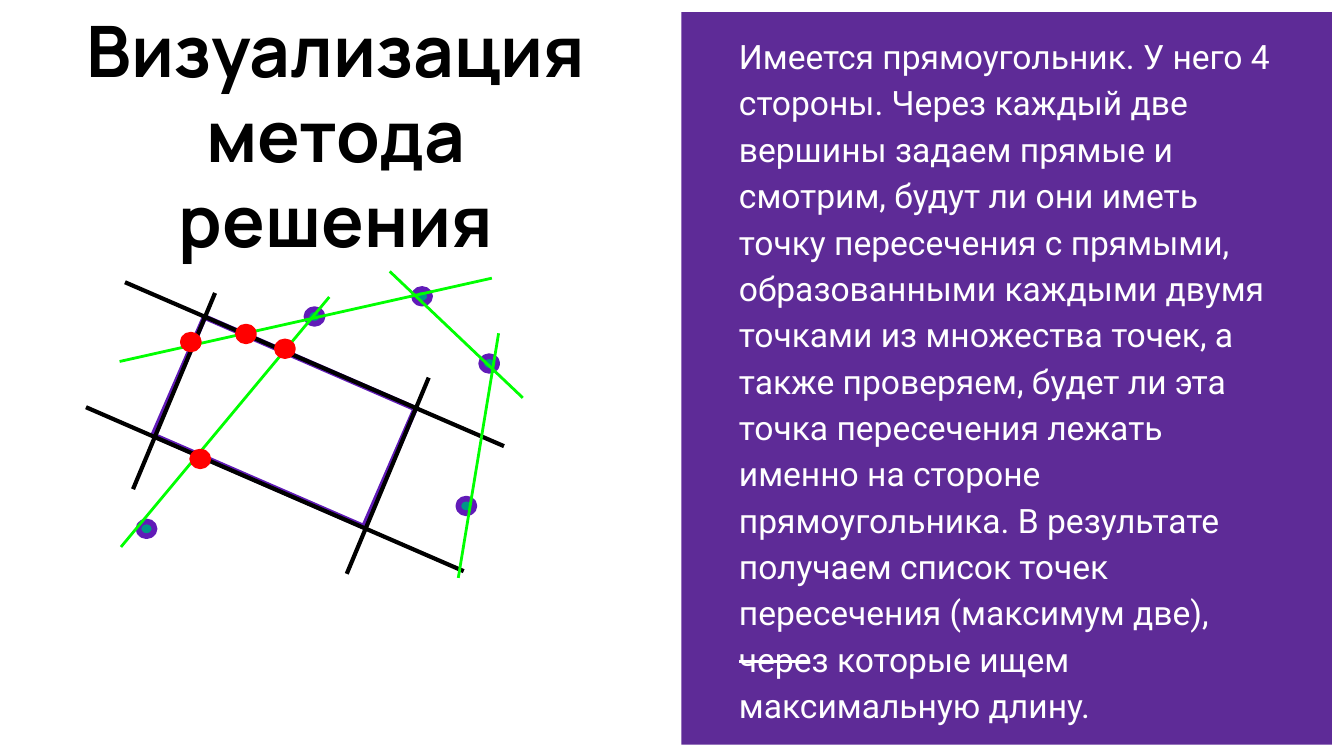
from dataclasses import dataclass

from lxml.etree import SubElement
from pptx import Presentation
from pptx.dml.color import RGBColor
from pptx.enum.shapes import MSO_CONNECTOR, MSO_SHAPE
from pptx.enum.text import MSO_ANCHOR, MSO_AUTO_SIZE, PP_ALIGN
from pptx.oxml.ns import qn
from pptx.util import Inches, Pt


@dataclass(frozen=True)
class Theme:
    panel: str = "5E2B97"
    white: str = "FFFFFF"
    black: str = "000000"
    violet: str = "611BB8"
    teal: str = "009688"
    green: str = "00FF00"
    red: str = "FF0000"
    title_font: str = "Manrope"
    body_font: str = "Roboto"
    title_size: int = 38
    body_size: int = 18
    thin: float = 1.5
    medium: float = 2.25
    thick: float = 3


THEME = Theme()

# The slide is a grid of 100 columns; rows are as tall as columns are wide
COLUMNS, ROWS = 100, 56.25
CELL = Inches(10) / COLUMNS
DOT_SIZE = (1.2, 1.1)

TITLE = "Визуализация метода решения"
BODY = (
    "Имеется прямоугольник. У него 4 стороны. Через каждый две вершины задаем "
    "прямые и смотрим, будут ли они иметь точку пересечения с прямыми, "
    "образованными каждыми двумя точками из множества точек, а также проверяем, "
    "будет ли эта точка пересечения лежать именно на стороне прямоугольника. "
    "В результате получаем список точек пересечения (максимум две), через "
    "которые ищем максимальную длину."
)

# Centres of dots, and ends of lines, in columns and rows
SET_POINTS = [(31.4, 22.05), (23.4, 23.55), (10.9, 39.35), (36.4, 27.05), (34.7, 37.65)]
CROSSINGS = [(21.2, 25.95), (14.9, 34.15), (18.3, 24.85), (14.2, 25.45)]
SIDE_LINES = [
    (9.3, 21, 37.5, 33.2),
    (31.9, 28.1, 25.8, 42.7),
    (16, 21.8, 9.9, 36.4),
    (6.4, 30.3, 34.5, 42.5),
]
POINT_LINES = [
    (24.5, 22.1, 9, 40.7),
    (37.1, 24.8, 34.1, 43),
    (29, 20.2, 38.9, 29.6),
    (36.6, 20.7, 8.9, 26.9),
]


def grid(*cells):
    return [round(cell * CELL) for cell in cells]


def color(value):
    return RGBColor.from_string(value)


def add_figure(slide, kind, box, fill, line=None, rotation=0):
    shape = slide.shapes.add_shape(kind, *grid(*box))
    shape.shadow.inherit = False
    shape.rotation = rotation
    shape.fill.solid()
    shape.fill.fore_color.rgb = color(fill)
    if line:
        shape.line.color.rgb = color(line)
        shape.line.width = Pt(THEME.thick)
    else:
        shape.line.fill.background()


def add_dot(slide, center, fill, line):
    width, height = DOT_SIZE
    box = (center[0] - width / 2, center[1] - height / 2, width, height)
    add_figure(slide, MSO_SHAPE.OVAL, box, fill, line)


def add_line(slide, ends, line, width):
    connector = slide.shapes.add_connector(MSO_CONNECTOR.STRAIGHT, *grid(*ends))
    connector.line.color.rgb = color(line)
    connector.line.width = Pt(width)
    SubElement(connector._element.spPr, qn("a:effectLst"))


def write_text(shape, text, anchor, align, spacing, font_name, size, fill, bold=False):
    frame = shape.text_frame
    frame.word_wrap = True
    frame.auto_size = MSO_AUTO_SIZE.NONE
    frame.vertical_anchor = anchor
    frame.margin_left = frame.margin_right = Inches(0.1)
    frame.margin_top = frame.margin_bottom = Inches(0.1)
    paragraph = frame.paragraphs[0]
    paragraph.alignment = align
    paragraph.line_spacing, space_after = spacing
    paragraph.space_before = Pt(0)
    paragraph.space_after = Pt(space_after)
    run = paragraph.add_run()
    run.text = text
    run.font.name = font_name
    run.font.size = Pt(size)
    run.font.bold = bold
    run.font.color.rgb = color(fill)


def add_title(slide):
    title = slide.shapes.title
    title.left, title.top, title.width, title.height = grid(2.9, 1.1, 44.2, 19.4)
    write_text(title, TITLE, MSO_ANCHOR.BOTTOM, PP_ALIGN.CENTER, (1.0, 0),
               THEME.title_font, THEME.title_size, THEME.black, bold=True)


def add_explanation(slide):
    add_figure(slide, MSO_SHAPE.RECTANGLE, (50.7, 0.9, 48.4, 54.5), THEME.panel)
    add_line(slide, (55, 49.2, 60.1, 49.2), THEME.white, THEME.thin)
    body = slide.shapes.add_textbox(*grid(54, 7.9, 42, 40.4))
    write_text(body, BODY, MSO_ANCHOR.MIDDLE, PP_ALIGN.LEFT, (1.15, 16),
               THEME.body_font, THEME.body_size, THEME.white)


def add_diagram(slide):
    # Rectangle and the set of points
    add_figure(slide, MSO_SHAPE.RECTANGLE, (12.6, 26.6, 17.1, 9.6),
               THEME.white, THEME.violet, rotation=23.5)
    for center in SET_POINTS:
        add_dot(slide, center, THEME.teal, THEME.violet)
    # Lines through the sides, then through pairs of points
    for ends in SIDE_LINES:
        add_line(slide, ends, THEME.black, THEME.medium)
    for ends in POINT_LINES:
        add_line(slide, ends, THEME.green, THEME.thin)
    # Crossings that lie on the sides
    for center in CROSSINGS:
        add_dot(slide, center, THEME.red, THEME.red)


def main():
    presentation = Presentation()
    presentation.slide_width, presentation.slide_height = grid(COLUMNS, ROWS)
    slide = presentation.slides.add_slide(presentation.slide_layouts[5])
    add_title(slide)
    add_explanation(slide)
    add_diagram(slide)
    presentation.save("out.pptx")


if __name__ == "__main__":
    main()
